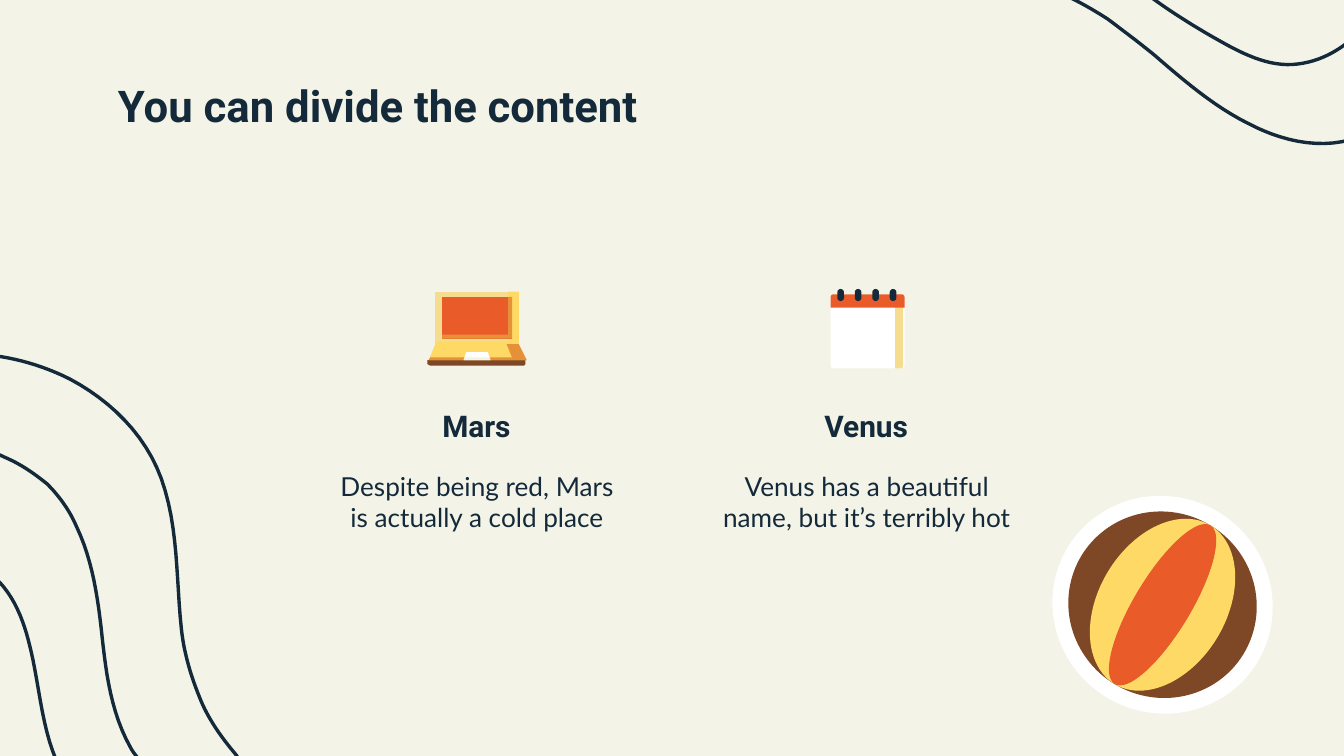
"""Build a two-column slide with planet captions, icons, waves and a beach ball."""
from pptx import Presentation
from pptx.dml.color import RGBColor
from pptx.enum.shapes import MSO_SHAPE
from pptx.enum.text import MSO_ANCHOR, PP_ALIGN
from pptx.util import Inches, Pt

COLORS = {
    "cream": "F3F4E7", "navy": "14293A", "white": "FFFFFF", "brown": "7E4725",
    "yellow": "FFD966", "sand": "F5DC8F", "red": "E95C29", "orange": "E69138",
}

WAVES = [
    [(8.5, -0.05), (8.7, 0.1), (8.91, 0.23), (9.13, 0.35), (9.28, 0.43),
     (9.44, 0.5), (9.61, 0.49), (9.76, 0.48), (9.91, 0.42), (10.05, 0.3)],
    [(7.88, -0.04), (8, 0.01), (8.12, 0.08), (8.23, 0.15), (8.35, 0.24),
     (8.47, 0.33), (8.58, 0.42), (8.8, 0.61), (9.02, 0.8), (9.28, 0.93),
     (9.51, 1.05), (9.78, 1.12), (10.04, 1.05)],
    [(-0.11, 4.25), (-0.1, 4.26), (-0.09, 4.26), (-0.08, 4.28), (0.07, 4.4),
     (0.15, 4.58), (0.2, 4.77), (0.28, 5.06), (0.29, 5.39), (0.41, 5.67)],
    [(-0.12, 3.35), (-0.07, 3.37), (-0.02, 3.39), (0.02, 3.41), (0.14, 3.46),
     (0.24, 3.53), (0.34, 3.61), (0.43, 3.7), (0.51, 3.81), (0.56, 3.93),
     (0.68, 4.18), (0.72, 4.47), (0.75, 4.75), (0.78, 5.03), (0.82, 5.32),
     (0.96, 5.57), (0.98, 5.61), (1.01, 5.64), (1.03, 5.67)],
    [(-0.11, 2.65), (0.1, 2.67), (0.31, 2.73), (0.51, 2.83), (0.81, 2.99),
     (1.07, 3.24), (1.19, 3.57), (1.32, 3.93), (1.3, 4.32), (1.34, 4.69),
     (1.36, 4.87), (1.41, 5.04), (1.48, 5.21), (1.54, 5.36), (1.64, 5.5),
     (1.75, 5.63), (1.76, 5.65), (1.77, 5.66), (1.79, 5.67)],
]
WAVE_SHIFT = 0.01
CURVE_STEPS = 12

BALL_CENTER = (8.65, 4.5)
BALL_TILT = 31.1
BALL_OVALS = [
    (1.65, 1.61, "white"), (1.12, 1.61, "white"), (0.49, 1.61, "white"),
    (1.41, 1.38, "brown"), (0.95, 1.38, "yellow"), (0.42, 1.38, "red"),
]

LAPTOP = [
    ("sand", [(3.24, 2.17), (3.86, 2.17), (3.86, 2.59), (3.24, 2.59)]),
    ("yellow", [(3.78, 2.17), (3.86, 2.17), (3.86, 2.59), (3.24, 2.59),
                (3.24, 2.54), (3.78, 2.54)]),
    ("red", [(3.29, 2.21), (3.81, 2.21), (3.81, 2.52), (3.29, 2.52)]),
    ("orange", [(3.78, 2.21), (3.81, 2.21), (3.81, 2.52), (3.29, 2.52),
                (3.29, 2.49), (3.78, 2.49)]),
    ("brown", [(3.18, 2.68), (3.91, 2.68), (3.91, 2.71), (3.9, 2.72),
               (3.2, 2.72), (3.18, 2.71)]),
    ("yellow", [(3.24, 2.56), (3.86, 2.56), (3.92, 2.68), (3.19, 2.68)]),
    ("orange", [(3.77, 2.56), (3.86, 2.56), (3.92, 2.68), (3.19, 2.68),
                (3.2, 2.66), (3.81, 2.66)]),
    ("white", [(3.47, 2.62), (3.63, 2.62), (3.65, 2.68), (3.45, 2.68)]),
    ("cream", [(3.46, 2.66), (3.64, 2.66), (3.65, 2.68), (3.45, 2.68)]),
]

COLUMNS = [
    (3.55, "Mars", "Despite being red, Mars is actually a cold place"),
    (6.45, "Venus", "Venus has a beautiful name, but it’s terribly hot"),
]


def rgb(name):
    return RGBColor.from_string(COLORS[name])


def paint(s, color):
    s.shadow.inherit = False
    s.fill.solid()
    s.fill.fore_color.rgb = rgb(color)
    s.line.fill.background()


def add_outline(slide, points, close):
    emu = [(Inches(x), Inches(y)) for x, y in points]
    builder = slide.shapes.build_freeform(*emu[0], scale=1.0)
    builder.add_line_segments(emu[1:], close=close)
    return builder.convert_to_shape()


def add_polygon(slide, points, color):
    paint(add_outline(slide, points, True), color)


def bezier_points(nodes):
    points = [nodes[0]]
    for i in range(0, len(nodes) - 1, 3):
        a, b, c, d = nodes[i:i + 4]
        for step in range(1, CURVE_STEPS + 1):
            t = step / CURVE_STEPS
            weights = ((1 - t) ** 3, 3 * t * (1 - t) ** 2, 3 * t * t * (1 - t), t ** 3)
            points.append(tuple(
                sum(w * n[axis] for w, n in zip(weights, (a, b, c, d)))
                for axis in (0, 1)))
    return points


def add_wave(slide, nodes):
    shifted = [(x + WAVE_SHIFT, y - WAVE_SHIFT) for x, y in nodes]
    s = add_outline(slide, bezier_points(shifted), False)
    s.shadow.inherit = False
    s.fill.background()
    s.line.color.rgb = rgb("navy")
    s.line.width = Pt(1.8)


def add_preset(slide, kind, box, color, corners=()):
    s = slide.shapes.add_shape(kind, *map(Inches, box))
    for i, corner in enumerate(corners):
        s.adjustments[i] = corner
    paint(s, color)
    return s


def add_ball(slide):
    cx, cy = BALL_CENTER
    for w, h, color in BALL_OVALS:
        s = add_preset(slide, MSO_SHAPE.OVAL, (cx - w / 2, cy - h / 2, w, h), color)
        s.rotation = BALL_TILT


def add_laptop(slide):
    for color, points in LAPTOP:
        add_polygon(slide, points, color)


def add_calendar(slide):
    add_preset(slide, MSO_SHAPE.ROUNDED_RECTANGLE, (6.18, 2.19, 0.55, 0.55), "white", [0.04])
    add_polygon(slide, [(6.66, 2.19), (6.72, 2.19), (6.72, 2.73), (6.71, 2.74),
                        (6.66, 2.74)], "sand")
    add_preset(slide, MSO_SHAPE.ROUND_2_SAME_RECTANGLE, (6.18, 2.19, 0.55, 0.1), "red", [0.2, 0])
    for i in range(4):
        add_preset(slide, MSO_SHAPE.ROUNDED_RECTANGLE,
                   (6.23 + 0.13 * i, 2.15, 0.05, 0.09), "navy", [0.5])


def add_text(slide, box, text, font, size, bold=False,
             align=PP_ALIGN.CENTER, anchor=MSO_ANCHOR.TOP):
    tf = slide.shapes.add_textbox(*map(Inches, box)).text_frame
    tf.word_wrap = True
    tf.vertical_anchor = anchor
    tf.margin_left = tf.margin_right = tf.margin_top = tf.margin_bottom = Inches(0.1)
    p = tf.paragraphs[0]
    p.text = text
    p.alignment = align
    p.font.name = font
    p.font.size = Pt(size)
    p.font.bold = bold
    p.font.color.rgb = rgb("navy")


def add_column(slide, center, heading, body):
    add_text(slide, (center - 1.19, 3.4, 2.38, 0.68), body, "Lato", 14)
    add_text(slide, (center - 0.77, 3.01, 1.53, 0.31), heading, "Roboto", 16,
             bold=True, anchor=MSO_ANCHOR.MIDDLE)


def main():
    prs = Presentation()
    prs.slide_width = Inches(10)
    prs.slide_height = Inches(10 * 9 / 16)
    slide = prs.slides.add_slide(prs.slide_layouts[6])
    slide.background.fill.solid()
    slide.background.fill.fore_color.rgb = rgb("cream")
    for nodes in WAVES:
        add_wave(slide, nodes)
    add_text(slide, (0.78, 0.49, 8.44, 0.63), "You can divide the content",
             "Roboto", 23.4, bold=True, align=PP_ALIGN.LEFT)
    for column in COLUMNS:
        add_column(slide, *column)
    add_ball(slide)
    add_calendar(slide)
    add_laptop(slide)
    prs.save("out.pptx")


if __name__ == "__main__":
    main()
